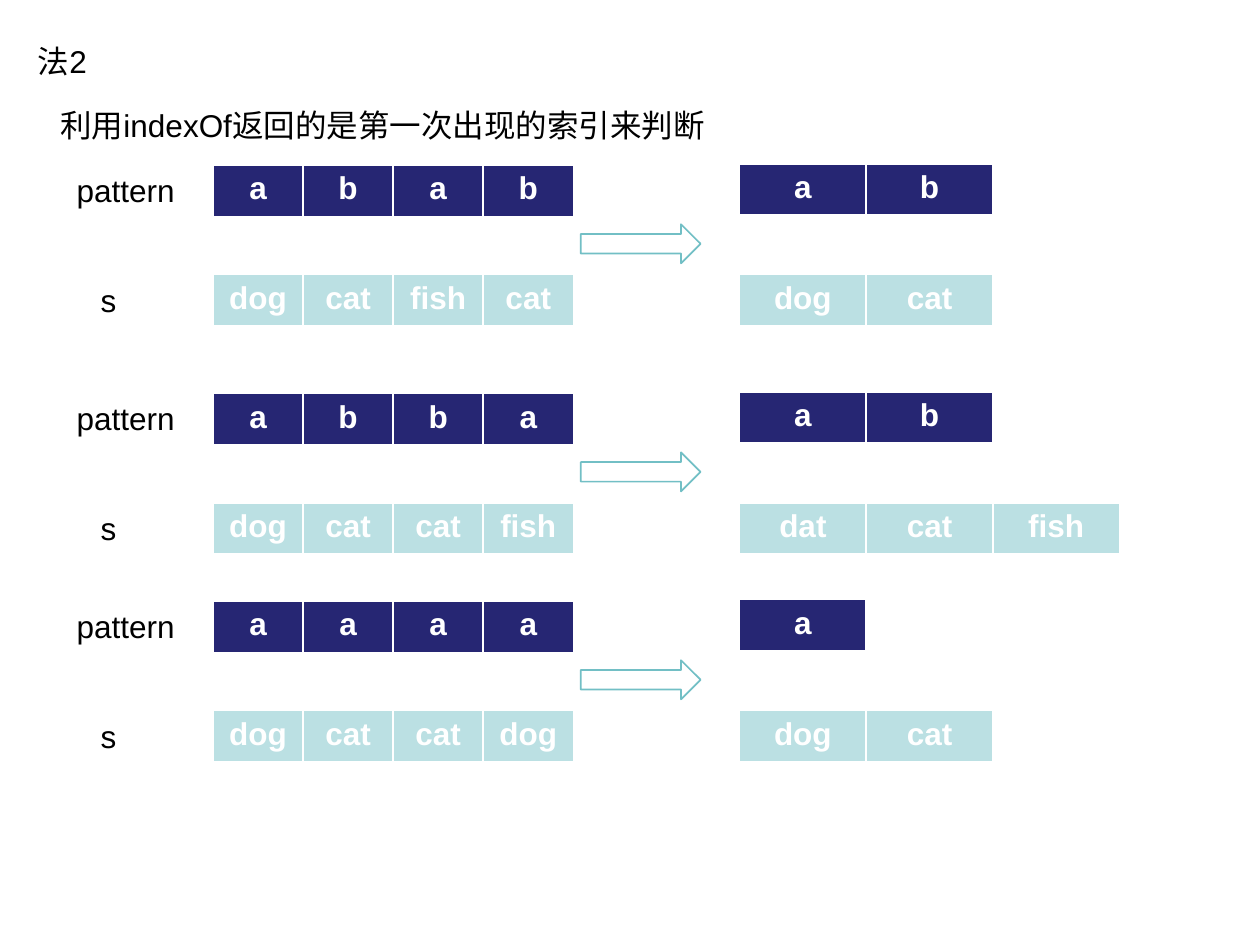
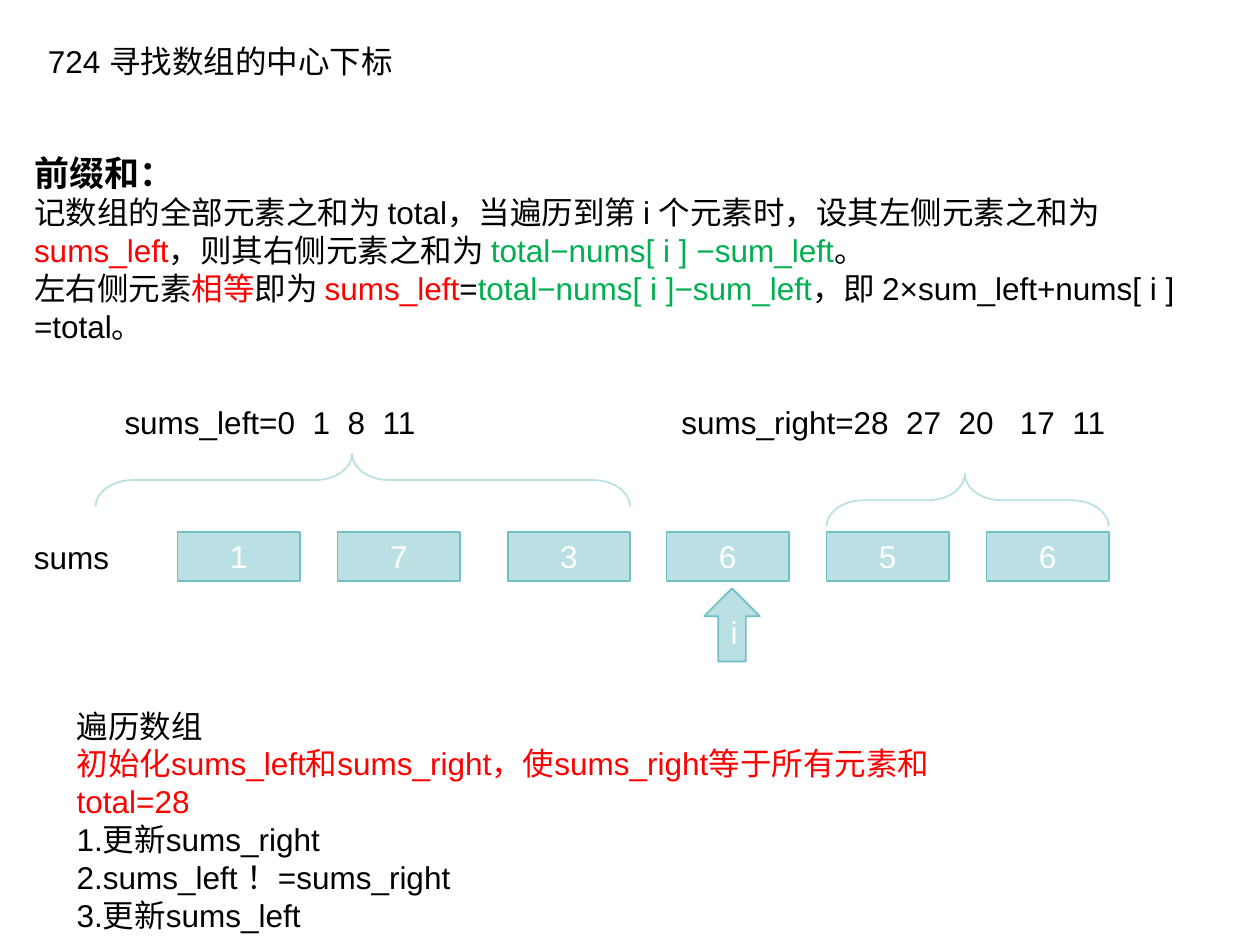
"""Two slides of algorithm notes: matching by first index, and the pivot index."""
from lxml import etree
from pptx import Presentation
from pptx.dml.color import RGBColor
from pptx.enum.shapes import MSO_SHAPE
from pptx.enum.text import MSO_ANCHOR, MSO_AUTO_SIZE, PP_ALIGN
from pptx.oxml.ns import qn
from pptx.util import Pt

PX = 4572
FONT = "Arial"
COLORS = {
    "ink": "000000", "white": "FFFFFF", "navy": "262673", "aqua": "BBE0E3",
    "teal": "72BFC5", "red": "FF0000", "green": "00B050",
}
LEFT, CENTER = PP_ALIGN.LEFT, PP_ALIGN.CENTER
TOP, MIDDLE = MSO_ANCHOR.TOP, MSO_ANCHOR.MIDDLE
NO_AUTOSIZE = MSO_AUTO_SIZE.NONE
RECTANGLE, BRACE = MSO_SHAPE.RECTANGLE, MSO_SHAPE.RIGHT_BRACE
RIGHT_ARROW, UP_ARROW = MSO_SHAPE.RIGHT_ARROW, MSO_SHAPE.UP_ARROW
BORDER_WIDTHS = {"a:lnL": 1, "a:lnR": 1, "a:lnT": 1, "a:lnB": 3}


def rgb(color):
    """Return the named colour."""
    return RGBColor.from_string(COLORS[color])


def emu(*lengths):
    """Turn px lengths into EMU."""
    return [length * PX for length in lengths]


class Deck:
    """The shared style and the slide being filled."""

    def __init__(self):
        """Start an empty 10 by 7.5 inch presentation."""
        self.prs = Presentation()
        self.prs.slide_width, self.prs.slide_height = emu(2000, 1500)
        self.slide = None

    def fill_frame(self, frame, paragraphs, align=LEFT, anchor=TOP):
        """Fill a frame with paragraphs of (text, colour, size, bold) runs."""
        frame.word_wrap = True
        frame.auto_size = NO_AUTOSIZE
        frame.vertical_anchor = anchor
        for index, runs in enumerate(paragraphs):
            paragraph = frame.add_paragraph() if index else frame.paragraphs[0]
            paragraph.alignment = align
            paragraph.space_before = Pt(0)
            for run in runs:
                self.add_run(paragraph, *run)

    def add_run(self, paragraph, text, color="ink", size=18, bold=False):
        """Add one formatted run."""
        run = paragraph.add_run()
        run.text = text
        run.font.name, run.font.size, run.font.bold = FONT, Pt(size), bold
        run.font.color.rgb = rgb(color)

    def place(self, placeholder, box, paragraphs):
        """Move a placeholder and fill it."""
        (placeholder.left, placeholder.top,
         placeholder.width, placeholder.height) = emu(*box)
        self.fill_frame(placeholder.text_frame, paragraphs)

    def new_slide(self, title, title_left):
        """Start a slide with its title."""
        self.slide = self.prs.slides.add_slide(self.prs.slide_layouts[1])
        self.place(self.slide.shapes.title, (title_left, 56, 666, 80), [[(title,)]])

    def body(self, box, paragraphs):
        """Fill the body placeholder without bullets."""
        body = self.slide.placeholders[1]
        self.place(body, box, paragraphs)
        for paragraph in body.text_frame.paragraphs:
            properties = paragraph._p.get_or_add_pPr()
            properties.set("marL", "0")
            properties.set("indent", "0")
            etree.SubElement(properties, qn("a:buNone"))

    def text(self, box, paragraphs):
        """Add a text box."""
        text_box = self.slide.shapes.add_textbox(*emu(*box))
        self.fill_frame(text_box.text_frame, paragraphs)

    def shape(self, preset, box, fill=None, line="teal", label=None):
        """Add a preset shape, with a centred label if given."""
        shape = self.slide.shapes.add_shape(preset, *emu(*box))
        shape.shadow.inherit = False
        if fill:
            shape.fill.solid()
            shape.fill.fore_color.rgb = rgb(fill)
        else:
            shape.fill.background()
        shape.line.color.rgb = rgb(line)
        shape.line.width = Pt(1)
        if label:
            self.fill_frame(shape.text_frame, [[(label, "white")]], CENTER, MIDDLE)
        return shape

    def brace(self, box, tip):
        """Add a brace that opens downwards."""
        brace = self.shape(BRACE, box, line="aqua")
        brace.rotation = 270
        brace.adjustments[0], brace.adjustments[1] = 0.7, tip

    def row(self, left, top, column_width, words, fill):
        """Add a one-row table with a cell for each word."""
        box = emu(left, top, column_width * len(words), 84)
        table = self.slide.shapes.add_table(1, len(words), *box).table
        table.first_row = table.horz_banding = False
        for column, word in enumerate(words):
            table.columns[column].width = column_width * PX
            cell = table.cell(0, column)
            cell.fill.solid()
            cell.fill.fore_color.rgb = rgb(fill)
            self.add_borders(cell)
            paragraph = cell.text_frame.paragraphs[0]
            paragraph.alignment = CENTER
            self.add_run(paragraph, word, "white", bold=True)

    def add_borders(self, cell):
        """Draw the white borders of a cell."""
        properties = cell._tc.get_or_add_tcPr()
        for index, (tag, width) in enumerate(BORDER_WIDTHS.items()):
            border = etree.Element(qn(tag), w=str(int(Pt(width))))
            fill = etree.SubElement(border, qn("a:solidFill"))
            etree.SubElement(fill, qn("a:srgbClr"), val=COLORS["white"])
            properties.insert(index, border)


def index_of_slide(deck):
    """Compare the first occurrences in pattern and s."""
    deck.new_slide("法2", 40)
    deck.body((76, 158, 1412, 80), [[("利用indexOf返回的是第一次出现的索引来判断",)]])
    examples = [
        (262, "a b a b", "dog cat fish cat", "a b", "dog cat"),
        (624, "a b b a", "dog cat cat fish", "a b", "dat cat fish"),
        (954, "a a a a", "dog cat cat dog", "a", "dog cat"),
    ]
    for top, pattern, words, unique_pattern, unique_words in examples:
        words_top = top + 174
        deck.row(338, top, 143, pattern.split(), "navy")
        deck.row(338, words_top, 143, words.split(), "aqua")
        deck.text((102, top, 236, 80), [[("pattern",)]])
        deck.text((140, words_top, 198, 80), [[("s",)]])
        deck.shape(RIGHT_ARROW, (922, top + 94, 190, 62))
        deck.row(1174, top - 2, 201, unique_pattern.split(), "navy")
        deck.row(1174, words_top, 201, unique_words.split(), "aqua")


def pivot_index_slide(deck):
    """Explain prefix sums on the array of the pivot index problem."""
    deck.new_slide("724 寻找数组的中心下标", 56)
    deck.body((34, 230, 1962, 332), [
        [("前缀和：", "ink", 20, True)],
        [("记数组的全部元素之和为 total，当遍历到第 i 个元素时，设其左侧元素之和为 ",),
         ("sums_left", "red"), ("，则其右侧元素之和为 ",),
         ("total−nums[ i ] −sum_left", "green"), ("。",)],
        [("左右侧元素",), ("相等", "red"), ("即为 ",), ("sums_left", "red"), ("=",),
         ("total−nums[ i ]−sum_left", "green"),
         ("，即 2×sum_left+nums[ i ] =total。",)],
    ])
    deck.text((34, 844, 220, 52), [[("sums",)]])
    for left, number in zip((282, 536, 806, 1058, 1312, 1566), "173656"):
        deck.shape(RECTANGLE, (left, 844, 194, 78), "aqua", label=number)
    deck.shape(UP_ARROW, (1118, 934, 88, 116), "aqua", label="i")
    deck.brace((534, 338, 84, 848), 0.48)
    deck.brace((1494, 570, 84, 448), 0.49)
    deck.text((178, 630, 692, 52), [[("sums_left=0  1  8  11",)]])
    deck.text((1062, 630, 752, 52), [[("sums_right=28  27  20   17  11",)]])
    deck.text((102, 1112, 1422, 392), [
        [("遍历数组",)],
        [("初始化sums_left和sums_right，使sums_right等于所有元素和total=28", "red")],
        [("1.更新sums_right",)],
        [("2.sums_left ！=sums_right",)],
        [("3.更新sums_left",)],
    ])


def main():
    """Build and save both slides."""
    deck = Deck()
    index_of_slide(deck)
    pivot_index_slide(deck)
    deck.prs.save("out.pptx")


if __name__ == "__main__":
    main()
